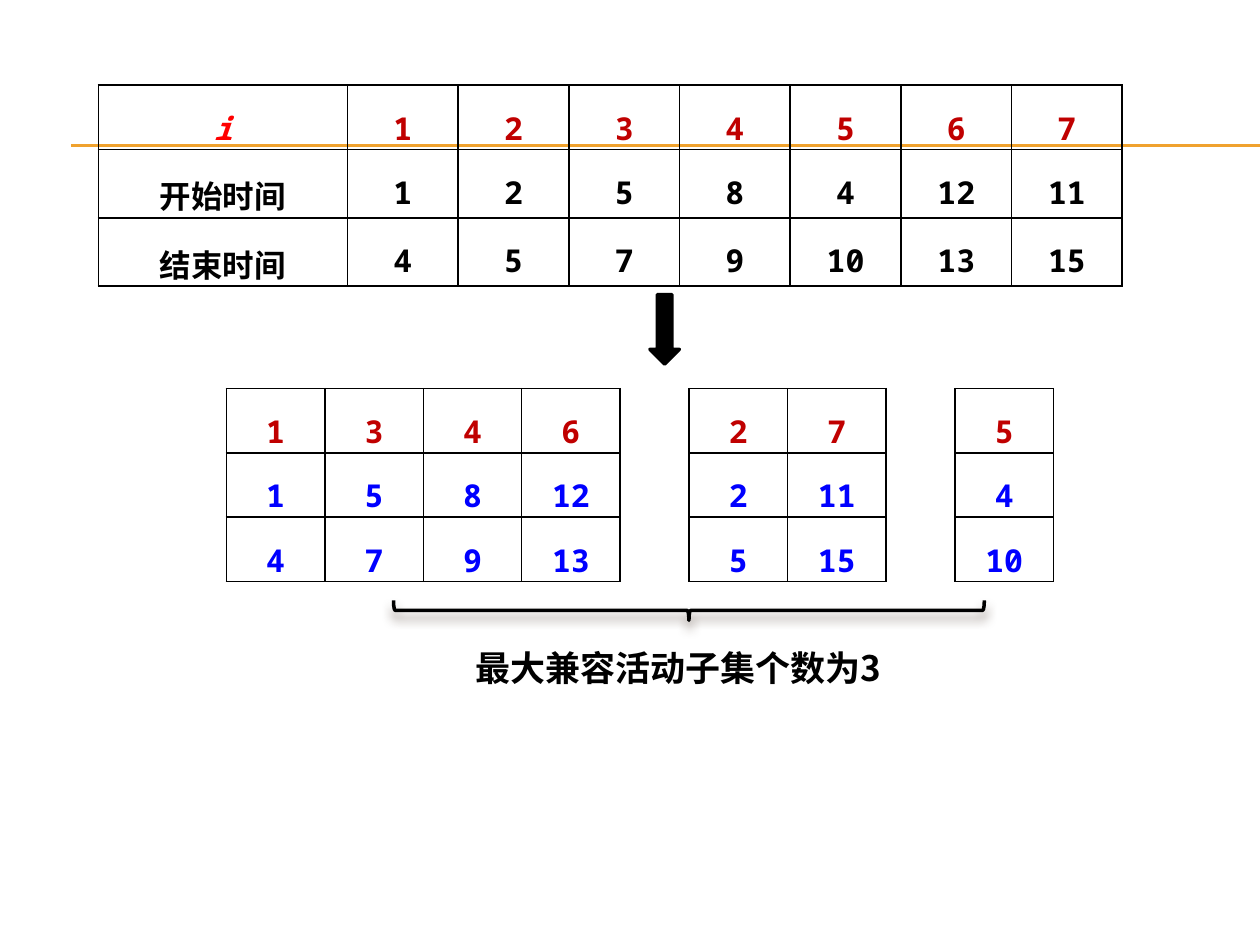
from lxml import etree
from pptx import Presentation
from pptx.dml.color import RGBColor
from pptx.enum import shapes, text
from pptx.oxml import parse_xml
from pptx.oxml.ns import nsdecls, qn
from pptx.util import Pt

BLACK = RGBColor(0, 0, 0)
RED = RGBColor(0xFF, 0, 0)
DARK_RED = RGBColor(0xC0, 0, 0)
BLUE = RGBColor(0, 0, 0xFF)
ORANGE = RGBColor(0xF0, 0xA2, 0x2E)
MONO, CJK = "Noto Sans Mono", "Noto Sans CJK SC"

# Content: activity number -> (start, end)
HEADINGS = ("i", "开始时间", "结束时间")
ACTIVITIES = {1: (1, 4), 2: (2, 5), 3: (5, 7), 4: (8, 9),
              5: (4, 10), 6: (12, 13), 7: (11, 15)}
SUBSETS = ((1, 3, 4, 6), (2, 7), (5,))
CONCLUSION = "最大兼容活动子集个数为3"

# Layout in points
SLIDE_WIDTH, SLIDE_HEIGHT = 720, 540
ROW_HEIGHT = 34.8
MAIN_LEFT, MAIN_TOP = 56.2, 48.6
HEADING_WIDTH, ACTIVITY_WIDTH = 142.4, 63.25
SUBSET_LEFT, SUBSET_TOP = 129.4, 222
SUBSET_WIDTH, SUBSET_GAP = 56.25, 39.4


def activity_columns(numbers):
    return [(number, *ACTIVITIES[number]) for number in numbers]


def add_border(cell):
    properties = cell._tc.get_or_add_tcPr()
    for position, side in enumerate(("lnL", "lnR", "lnT", "lnB")):
        properties.insert(position, parse_xml(
            f'<a:{side} {nsdecls("a")} w="{Pt(1)}"><a:solidFill>'
            f'<a:srgbClr val="{BLACK}"/></a:solidFill></a:{side}>'))


def add_grid(slide, left, top, widths, columns, body_color):
    frame = slide.shapes.add_table(3, len(columns), Pt(left), Pt(top),
                                   Pt(sum(widths)), Pt(3 * ROW_HEIGHT))
    table = frame.table
    table.first_row = table.horz_banding = False
    for row in table.rows:
        row.height = Pt(ROW_HEIGHT)
    for column_index, (width, values) in enumerate(zip(widths, columns)):
        table.columns[column_index].width = Pt(width)
        for row_index, value in enumerate(values):
            cell = table.cell(row_index, column_index)
            cell.margin_left = cell.margin_right = Pt(5)
            cell.margin_top = cell.margin_bottom = 0
            cell.fill.background()
            add_border(cell)
            cell.text = str(value)
            paragraph = cell.text_frame.paragraphs[0]
            paragraph.alignment = text.PP_ALIGN.CENTER
            paragraph.line_spacing = 1.5
            font = paragraph.font
            font.name, font.size, font.bold = MONO, Pt(18), True
            font.color.rgb = DARK_RED if row_index == 0 else body_color
    return table


def add_outlined(slide, kind, left, top, width, height):
    shape = slide.shapes.add_shape(kind, Pt(left), Pt(top), Pt(width), Pt(height))
    shape.shadow.inherit = False
    shape.line.color.rgb = BLACK
    shape.line.width = Pt(2)
    return shape


presentation = Presentation()
presentation.slide_width, presentation.slide_height = Pt(SLIDE_WIDTH), Pt(SLIDE_HEIGHT)
slide = presentation.slides.add_slide(presentation.slide_layouts[6])

# Double rule behind the table
for y in (82.8, 83.5):
    rule = slide.shapes.add_connector(shapes.MSO_CONNECTOR.STRAIGHT,
                                      Pt(40.5), Pt(y), Pt(SLIDE_WIDTH), Pt(y))
    rule.line.color.rgb = ORANGE
    rule.line.width = Pt(0.75)
    etree.SubElement(rule._element.spPr, qn("a:effectLst"))

# All activities
main_table = add_grid(slide, MAIN_LEFT, MAIN_TOP,
                      [HEADING_WIDTH] + [ACTIVITY_WIDTH] * len(ACTIVITIES),
                      [HEADINGS] + activity_columns(ACTIVITIES), BLACK)
index_font = main_table.cell(0, 0).text_frame.paragraphs[0].font
index_font.color.rgb = RED
index_font.italic = True

# Compatible subsets, side by side
left = SUBSET_LEFT
for subset in SUBSETS:
    widths = [SUBSET_WIDTH] * len(subset)
    add_grid(slide, left, SUBSET_TOP, widths, activity_columns(subset), BLUE)
    left += sum(widths) + SUBSET_GAP

# Arrow from the activities to the subsets
arrow = add_outlined(slide, shapes.MSO_SHAPE.DOWN_ARROW, 371.4, 168.4, 16.8, 39.6)
arrow.fill.solid()
arrow.fill.fore_color.rgb = BLACK

# Brace under the subsets, with a soft shadow
brace = add_outlined(slide, shapes.MSO_SHAPE.LEFT_BRACE, 388, 180, 11.4, 337.6)
brace.rotation = 270
brace.fill.background()
effects = brace._element.spPr.find(qn("a:effectLst"))
effects.append(parse_xml(
    f'<a:outerShdw {nsdecls("a")} blurRad="{Pt(6)}" dist="{Pt(4)}" dir="5400000" '
    'rotWithShape="0"><a:srgbClr val="4E3B30"><a:alpha val="60000"/></a:srgbClr>'
    '</a:outerShdw>'))

# Conclusion
box = slide.shapes.add_textbox(Pt(264.4), Pt(365.8), Pt(258.5), Pt(31.5))
box.text_frame.word_wrap = True
box.text_frame.text = CONCLUSION
paragraph = box.text_frame.paragraphs[0]
font = paragraph.font
font.name, font.size, font.bold = CJK, Pt(20), True
font.color.rgb = BLACK

presentation.save("out.pptx")
